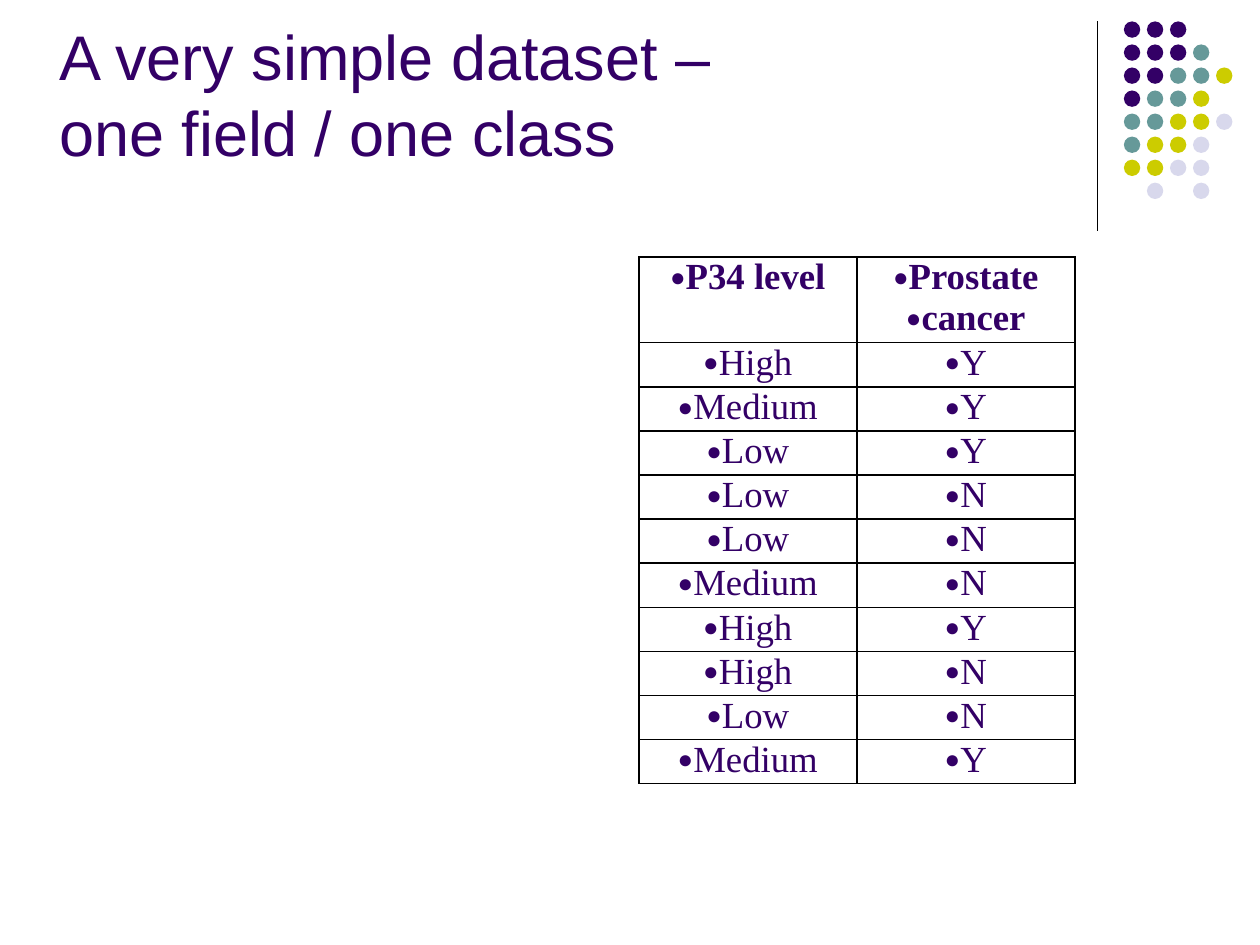
from typing import NamedTuple

from lxml.etree import SubElement as Sub
from pptx import Presentation
from pptx.dml.color import RGBColor as Rgb
from pptx.enum.shapes import MSO_CONNECTOR as Link, MSO_SHAPE as Shape
from pptx.enum.text import MSO_ANCHOR as Anchor, MSO_AUTO_SIZE as Fit, PP_ALIGN as Align
from pptx.oxml.ns import qn
from pptx.util import Inches, Pt

INK, TEAL, LIME, PALE = "330066", "669999", "CCCC00", "D8D8EC"
WHITE, BLACK = "FFFFFF", "000000"
TINTS = {"i": INK, "t": TEAL, "l": LIME, "p": PALE}
DOTS = ["iii", "iiit", "iittl", "ittl", "ttllp", "tllp", "llpp", " p p"]
SIDES = ["a:lnL", "a:lnR", "a:lnT", "a:lnB"]


class Dot(NamedTuple):
    left: float
    top: float
    tint: str


class Row(NamedTuple):
    level: list[str]
    cancer: list[str]
    high: float = 0.35
    bold: bool = False


ROWS = [Row(["P34 level"], ["Prostate", "cancer"], 0.68, True)] + [
    Row([level], [mark])
    for level, mark in [
        ("High", "Y"), ("Medium", "Y"), ("Low", "Y"), ("Low", "N"), ("Low", "N"),
        ("Medium", "N"), ("High", "Y"), ("High", "N"), ("Low", "N"), ("Medium", "Y"),
    ]
]


def paint(form, tint: str) -> None:
    form.solid()
    form.fore_color.rgb = Rgb.from_string(tint)


def write(para, text: str, face: str, size: float, bold: bool = False) -> None:
    run = para.add_run()
    run.text = text
    run.font.name = face
    run.font.size = Pt(size)
    run.font.bold = bold
    run.font.color.rgb = Rgb.from_string(INK)


def draw_rule(slide) -> None:
    rule = slide.shapes.add_connector(
        Link.STRAIGHT, Inches(8.71), Inches(0.17), Inches(8.71), Inches(1.83))
    paint(rule.line.fill, BLACK)
    rule.line.width = Pt(0.75)
    Sub(rule._element.spPr, qn("a:effectLst"))


def draw_dot(group, dot: Dot) -> None:
    oval = group.shapes.add_shape(
        Shape.OVAL, Inches(dot.left), Inches(dot.top), Inches(0.13), Inches(0.13))
    oval.shadow.inherit = False
    paint(oval.fill, dot.tint)
    oval.line.fill.background()


def draw_title(slide) -> None:
    title = slide.shapes.title
    title.left, title.top = Inches(0.37), Inches(0.21)
    title.width, title.height = Inches(9.63), Inches(1.18)
    frame = title.text_frame
    frame.auto_size = Fit.NONE
    frame.vertical_anchor = Anchor.BOTTOM
    para = frame.paragraphs[0]
    para.alignment = Align.LEFT
    write(para, "A very simple dataset –", "Arial", 36)
    para.add_line_break()
    write(para, "one field / one class", "Arial", 36)


def add_bullet(para) -> None:
    props = para._p.get_or_add_pPr()
    props.set("marL", "0")
    props.set("indent", "0")
    Sub(Sub(props, qn("a:buClr")), qn("a:srgbClr"), val=INK)
    Sub(props, qn("a:buSzPct"), val="70000")
    Sub(props, qn("a:buFont"), typeface="Arial")
    Sub(props, qn("a:buChar"), char="●")


def add_edges(cell) -> None:
    props = cell._tc.get_or_add_tcPr()
    for side in SIDES:
        edge = Sub(props, qn(side), w=str(Pt(1)))
        Sub(Sub(edge, qn("a:solidFill")), qn("a:srgbClr"), val=BLACK)


def fill_cell(cell, lines: list[str], bold: bool) -> None:
    cell.margin_left = cell.margin_right = 0
    cell.margin_top = cell.margin_bottom = 0
    add_edges(cell)
    paint(cell.fill, WHITE)
    frame = cell.text_frame
    for spot, line in enumerate(lines):
        para = frame.add_paragraph() if spot else frame.paragraphs[0]
        para.alignment = Align.CENTER
        add_bullet(para)
        write(para, line, "Times New Roman", 21, bold)


def draw_table(slide) -> None:
    table = slide.shapes.add_table(
        len(ROWS), 2, Inches(5.07), Inches(2.04), Inches(3.46), Inches(4.18)).table
    table.first_row = table.horz_banding = False
    for spot, row in enumerate(ROWS):
        table.rows[spot].height = Inches(row.high)
        for col, lines in enumerate([row.level, row.cancer]):
            fill_cell(table.cell(spot, col), lines, row.bold)


def main() -> None:
    deck = Presentation()
    deck.slide_width, deck.slide_height = Inches(10), Inches(7.5)
    slide = deck.slides.add_slide(deck.slide_layouts[5])
    paint(slide.background.fill, WHITE)
    draw_rule(slide)
    group = slide.shapes.add_group_shape()
    step = 1.28 / 7
    for down, line in enumerate(DOTS):
        for over, key in enumerate(line):
            if key in TINTS:
                draw_dot(group, Dot(8.92 + over * step, 0.17 + down * step, TINTS[key]))
    draw_title(slide)
    draw_table(slide)
    deck.save("out.pptx")


if __name__ == "__main__":
    main()
